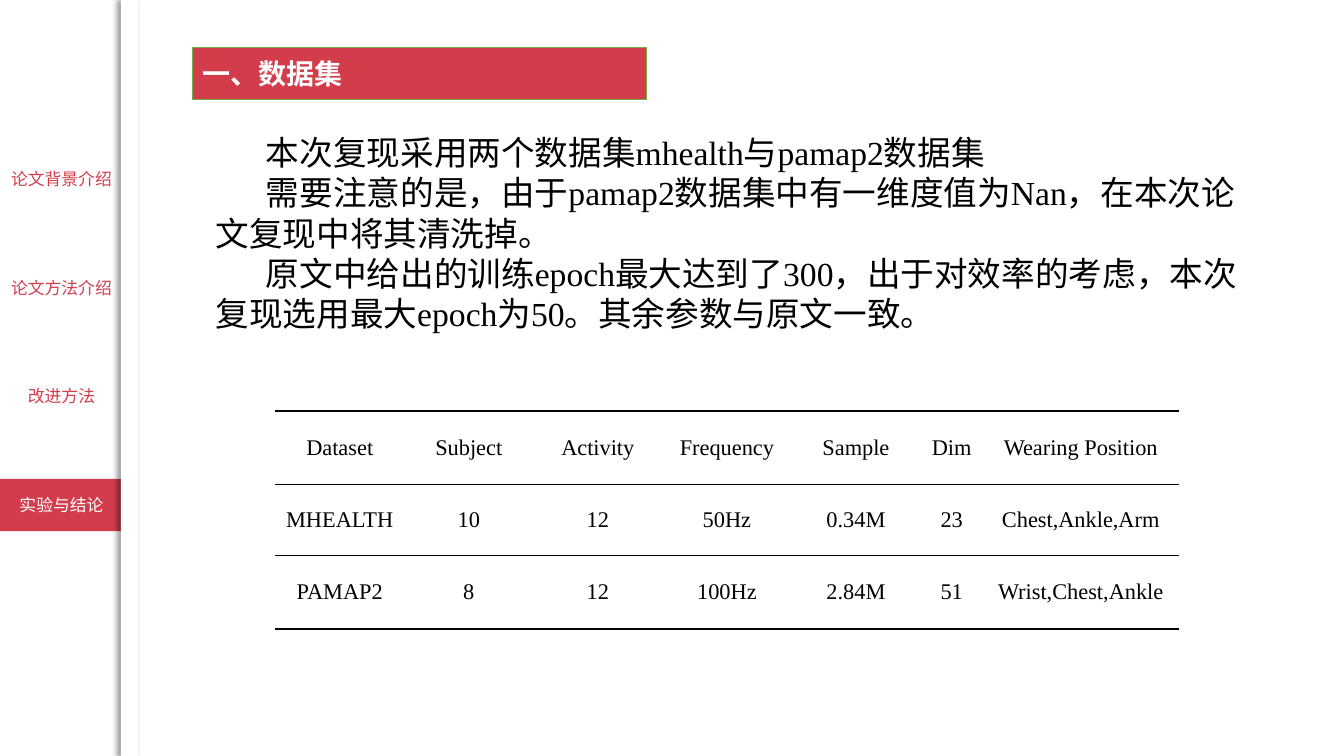
from lxml import etree
from pptx import Presentation
from pptx.dml.color import RGBColor
from pptx.enum.shapes import MSO_SHAPE
from pptx.enum.text import MSO_ANCHOR, PP_ALIGN
from pptx.oxml import parse_xml
from pptx.oxml.ns import nsdecls, qn
from pptx.util import Inches, Pt

RED, WHITE, BLACK = "D23C4B", "FFFFFF", "000000"
CHINESE_FONT, LATIN_FONT = "Noto Sans CJK SC", "Times New Roman"


def color(hex_code):
    return RGBColor.from_string(hex_code)


def format_text(para, size, hex_code, latin=CHINESE_FONT, bold=False):
    for span in para.runs:
        span.font.size = Pt(size)
        span.font.bold = bold
        span.font.name = latin
        span.font.color.rgb = color(hex_code)
        east_asian = etree.Element(qn("a:ea"), typeface=CHINESE_FONT)
        span.font._element.find(qn("a:latin")).addnext(east_asian)


deck = Presentation()
deck.slide_width, deck.slide_height = Inches(13.33), Inches(7.5)
page = deck.slides.add_slide(deck.slide_layouts[5])

# Sidebar navigation, with the current section highlighted
sections = ["论文背景介绍", "论文方法介绍", "改进方法", "实验与结论"]
current = "实验与结论"
sidebar = page.shapes.add_group_shape()
for index, section in enumerate(sections):
    button = sidebar.shapes.add_shape(
        MSO_SHAPE.RECTANGLE, 0, Inches(1.51 + 1.08 * index), Inches(1.22), Inches(0.52))
    button.shadow.inherit = False
    button.fill.solid()
    button.fill.fore_color.rgb = color(RED if section == current else WHITE)
    button.line.fill.background()
    button.text_frame.text = section
    button.text_frame.vertical_anchor = MSO_ANCHOR.MIDDLE
    para = button.text_frame.paragraphs[0]
    para.alignment = PP_ALIGN.CENTER
    format_text(para, 12, WHITE if section == current else RED)

# Divider strip casting a shadow onto the sidebar
divider = page.shapes.add_shape(MSO_SHAPE.RECTANGLE, Inches(1.2), 0, Inches(0.17), Inches(7.5))
divider.fill.solid()
divider.fill.fore_color.rgb = color(WHITE)
divider.line.fill.background()
divider._element.spPr.append(parse_xml(
    f'<a:effectLst {nsdecls("a")}><a:outerShdw blurRad="{Pt(4)}" dist="{Pt(3)}" '
    f'dir="10800000" algn="r" rotWithShape="0"><a:srgbClr val="{BLACK}">'
    '<a:alpha val="40000"/></a:srgbClr></a:outerShdw></a:effectLst>'))

# Title in a rounded banner
title = page.shapes.title
title.left, title.top = Inches(1.91), Inches(0.47)
title.width, title.height = Inches(4.5), Inches(0.52)
title._element.spPr.append(parse_xml(
    f'<a:prstGeom {nsdecls("a")} prst="roundRect"><a:avLst/></a:prstGeom>'))
title.fill.solid()
title.fill.fore_color.rgb = color(RED)
title.line.color.rgb = color("70AD47")
title.line.width = Pt(0.5)
title.text_frame.text = "一、数据集"
title.text_frame.vertical_anchor = MSO_ANCHOR.MIDDLE
title.text_frame.paragraphs[0].alignment = PP_ALIGN.LEFT
format_text(title.text_frame.paragraphs[0], 20, WHITE, bold=True)

# Description with indented first lines
description = [
    "本次复现采用两个数据集mhealth与pamap2数据集",
    "需要注意的是，由于pamap2数据集中有一维度值为Nan，在本次论文复现中将其清洗掉。",
    "原文中给出的训练epoch最大达到了300，出于对效率的考虑，本次复现选用最大epoch为50。其余参数与原文一致。",
]
box = page.shapes.add_textbox(Inches(2.04), Inches(1.26), Inches(10.44), Inches(2.52))
box.text_frame.word_wrap = True
box.text_frame.text = "\n".join(description)
for para in box.text_frame.paragraphs:
    para.line_spacing = Pt(28.8)
    para._p.get_or_add_pPr().set("indent", str(Inches(0.5)))
    format_text(para, 24, BLACK, LATIN_FONT)

# Dataset table with three horizontal rules
datasets = [
    ["Dataset", "Subject", "Activity", "Frequency", "Sample", "Dim", "Wearing Position"],
    ["MHEALTH", "10", "12", "50Hz", "0.34M", "23", "Chest,Ankle,Arm"],
    ["PAMAP2", "8", "12", "100Hz", "2.84M", "51", "Wrist,Chest,Ankle"],
]
column_widths = [1.28] * 5 + [0.62, 1.94]
row_heights = [0.73, 0.7, 0.73]
# Rules per row as (side, points), bottom before top
row_rules = [[("lnB", 1), ("lnT", 1.5)], [("lnT", 1)], [("lnB", 1.5)]]

frame = page.shapes.add_table(
    len(row_heights), len(column_widths), Inches(2.73), Inches(4.08), Inches(8.96), Inches(2.16))
table = frame.table
table.first_row = table.horz_banding = False
# Table style without fills or grid lines
table._tbl.tblPr.find(qn("a:tableStyleId")).text = "{2D5ABB26-0587-4C30-8999-92F81FD0307C}"
for column, width in zip(table.columns, column_widths):
    column.width = Inches(width)

for row, height, values, rules in zip(table.rows, row_heights, datasets, row_rules):
    row.height = Inches(height)
    for cell, value in zip(row.cells, values):
        cell.text_frame.text = value
        cell.vertical_anchor = MSO_ANCHOR.MIDDLE
        cell.margin_left = cell.margin_right = Inches(0.07)
        cell.margin_top = cell.margin_bottom = 0
        cell.fill.background()
        para = cell.text_frame.paragraphs[0]
        para.alignment = PP_ALIGN.CENTER
        format_text(para, 16, BLACK, LATIN_FONT)
        for side, points in rules:
            cell._tc.get_or_add_tcPr().insert(0, parse_xml(
                f'<a:{side} {nsdecls("a")} w="{Pt(points)}"><a:solidFill>'
                f'<a:srgbClr val="{BLACK}"/></a:solidFill></a:{side}>'))

deck.save("out.pptx")
